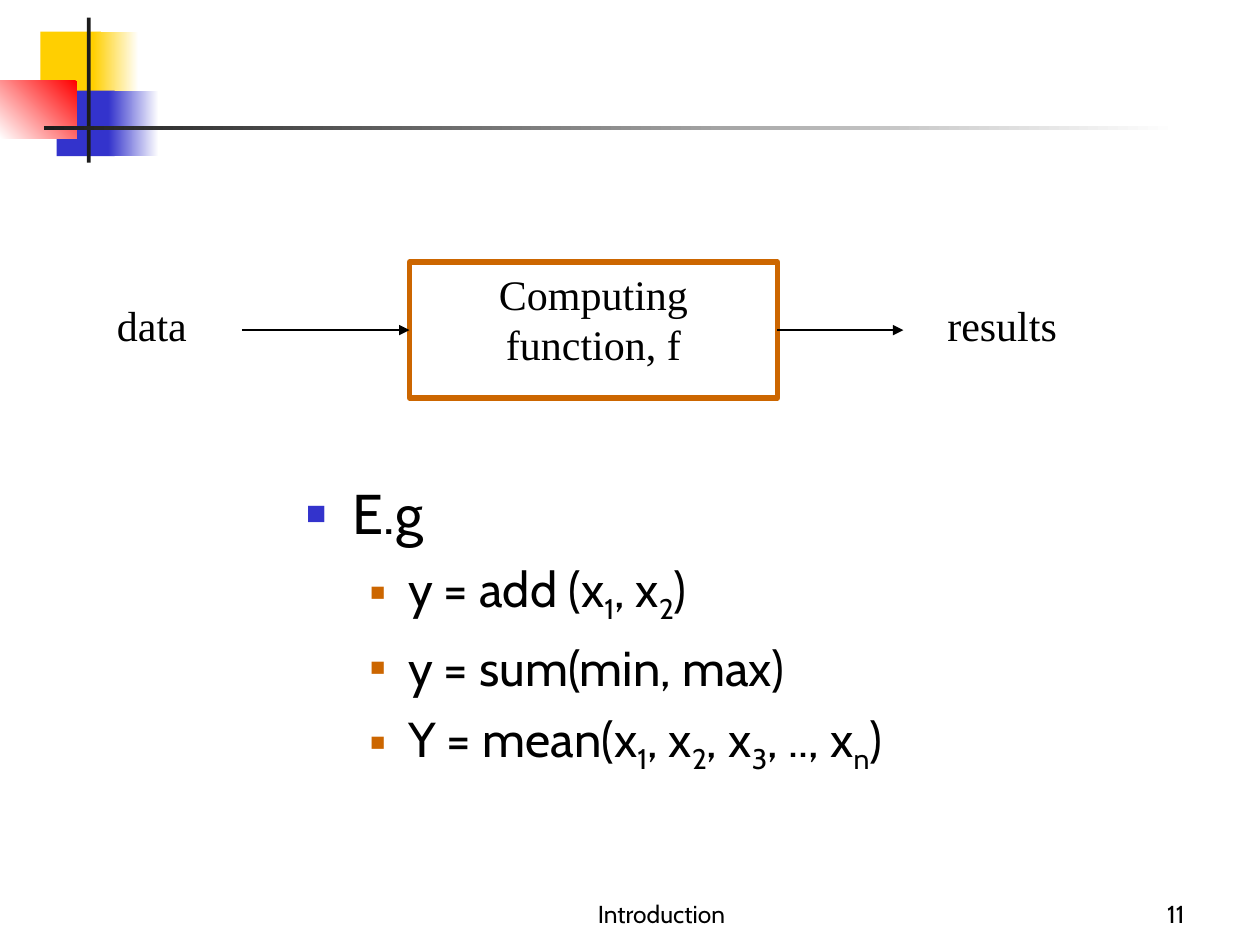
from pptx import Presentation
from pptx.dml.color import RGBColor
from pptx.enum.shapes import MSO_CONNECTOR, MSO_SHAPE
from pptx.enum.text import MSO_ANCHOR, MSO_AUTO_SIZE, PP_ALIGN
from pptx.oxml.ns import qn
from pptx.util import Pt
from lxml.etree import SubElement

PX = 9144  # 100 px to the inch
SANS, SERIF = "Cabin", "Times New Roman"
BLACK, WHITE, YELLOW, BLUE = "000000", "FFFFFF", "FFCF01", "3333CC"
RED, DARK, ORANGE = "FF0000", "1C1C1C", "CC6600"
BODY_FORMAT = {
    0: dict(size=32, before=8, indent=37, hang=37, char="■", color=BLUE, pct=60),
    1: dict(size=28, before=7, indent=81, hang=31, char="▪", color=ORANGE, pct=100),
}


def px(*lengths):
    return [n * PX for n in lengths]


def rgb(value):
    return RGBColor.from_string(value)


def set_font(font, name, size):
    for key, value in dict(name=name, size=Pt(size)).items():
        setattr(font, key, value)
    font.color.rgb = rgb(BLACK)


def add_block(s, box, colors, angle=0):
    """Draw a borderless rectangle, solid for one colour, gradient for two."""
    sp = s.shapes.add_shape(MSO_SHAPE.RECTANGLE, *px(*box))
    sp.shadow.inherit = False
    sp.line.fill.background()
    if len(colors) == 1:
        sp.fill.solid()
        sp.fill.fore_color.rgb = rgb(colors[0])
        return
    sp.fill.gradient()
    sp.fill.gradient_angle = angle
    for stop, color in zip(sp.fill.gradient_stops, colors):
        stop.color.rgb = rgb(color)


def write(sp, text, name, size, align=PP_ALIGN.LEFT, anchor=MSO_ANCHOR.TOP):
    tf = sp.text_frame
    for key, value in dict(word_wrap=True, vertical_anchor=anchor).items():
        setattr(tf, key, value)
    p = tf.paragraphs[0]
    p.alignment = align
    r = p.add_run()
    r.text = text
    set_font(r.font, name, size)


def add_label(s, box, *args, **kwargs):
    write(s.shapes.add_textbox(*px(*box)), *args, **kwargs)


def add_ornament(s, x, y):
    """Draw the overlapping squares and the two crossing bars."""
    for dx, dy, w, h, colors, angle in (
        (32, 11, 48, 52, [YELLOW], 0),
        (74, 11, 36, 52, [WHITE, YELLOW], 180),
        (45, 58, 46, 52, [BLUE], 0),
        (86, 58, 40, 52, [WHITE, BLUE], 180),
        (0, 50, 61, 46, [RED, WHITE], 225),
        (69, 0, 3, 115, [DARK], 0),
        (35, 86, 900, 3, [WHITE, DARK], 180),
    ):
        add_block(s, (x + dx, y + dy, w, h), colors, angle)


def add_arrow(s, x1, x2, y):
    line = s.shapes.add_connector(MSO_CONNECTOR.STRAIGHT, *px(x1, y, x2, y))
    line.line.color.rgb = rgb(BLACK)
    line.line.width = Pt(0.75)
    SubElement(line.line._get_or_add_ln(), qn("a:tailEnd"), type="triangle")
    SubElement(line._element.spPr, qn("a:effectLst"))
    return line


def add_flow(s, x, y, w, h):
    """Draw data, function box and results from left to right."""
    middle = y + h // 2
    left, right = x + 242, x + 534
    sp = s.shapes.add_shape(MSO_SHAPE.RECTANGLE, *px(left, y, right - left, h))
    sp.shadow.inherit = False
    sp.fill.background()
    sp.line.color.rgb = rgb(ORANGE)
    sp.line.width = Pt(3)
    write(sp, "Computing function, f", SERIF, 24, PP_ALIGN.CENTER)
    add_label(s, (x, y + 25, 150, 50), "data", SERIF, 24)
    add_label(s, (x + w - 158, y + 25, 158, 50), "results", SERIF, 24)
    add_arrow(s, x + 109, left, middle).end_connect(sp, 1)
    add_arrow(s, right, right + 100, middle).begin_connect(sp, 3)


def add_bullet(p, indent, hang, char, color, pct):
    pPr = p._p.get_or_add_pPr()
    pPr.set("marL", str(indent * PX))
    pPr.set("indent", str(-hang * PX))
    SubElement(SubElement(pPr, qn("a:buClr")), qn("a:srgbClr"), val=color)
    SubElement(pPr, qn("a:buSzPct"), val=str(pct * 1000))
    SubElement(pPr, qn("a:buFont"), typeface="Arial")
    SubElement(pPr, qn("a:buChar"), char=char)


def fill_body(sp, box, items):
    """Fill the body with (level, text) items; "_" marks the next letter as subscript."""
    sp.left, sp.top, sp.width, sp.height = px(*box)
    tf = sp.text_frame
    tf.auto_size = MSO_AUTO_SIZE.NONE
    for i, (level, text) in enumerate(items):
        p = tf.paragraphs[0] if i == 0 else tf.add_paragraph()
        fmt = dict(BODY_FORMAT[level])
        size, before = fmt.pop("size"), fmt.pop("before")
        for key, value in dict(level=level, line_spacing=1.0,
                               space_before=Pt(before if i else 0)).items():
            setattr(p, key, value)
        add_bullet(p, **fmt)
        first, *rest = text.split("_")
        parts = [(first, False)]
        for part in rest:
            parts += [(part[0], True), (part[1:], False)]
        for part, is_sub in parts:
            r = p.add_run()
            r.text = part
            set_font(r.font, SANS, size)
            if is_sub:
                r._r.get_or_add_rPr().set("baseline", "-25000")


def add_footer(s, y, h):
    for x, w, text, align in ((367, 316, "Introduction", PP_ALIGN.CENTER),
                              (742, 208, "11", PP_ALIGN.RIGHT)):
        add_label(s, (x, y, w, h), text, SANS, 14, align, MSO_ANCHOR.BOTTOM)


def main():
    prs = Presentation()
    prs.slide_width, prs.slide_height = px(1000, 750)
    s = prs.slides.add_slide(prs.slide_layouts[1])
    title = s.shapes.title._element
    title.getparent().remove(title)
    add_ornament(s, 0, 14)
    add_footer(s, 692, 50)
    add_flow(s, 83, 208, 817, 108)
    fill_body(s.placeholders[1], (233, 375, 575, 283), [
        (0, "E.g"),
        (1, "y = add (x_1, x_2)"),
        (1, "y = sum(min, max)"),
        (1, "Y = mean(x_1, x_2, x_3, .., x_n)"),
    ])
    prs.save("out.pptx")


if __name__ == "__main__":
    main()
